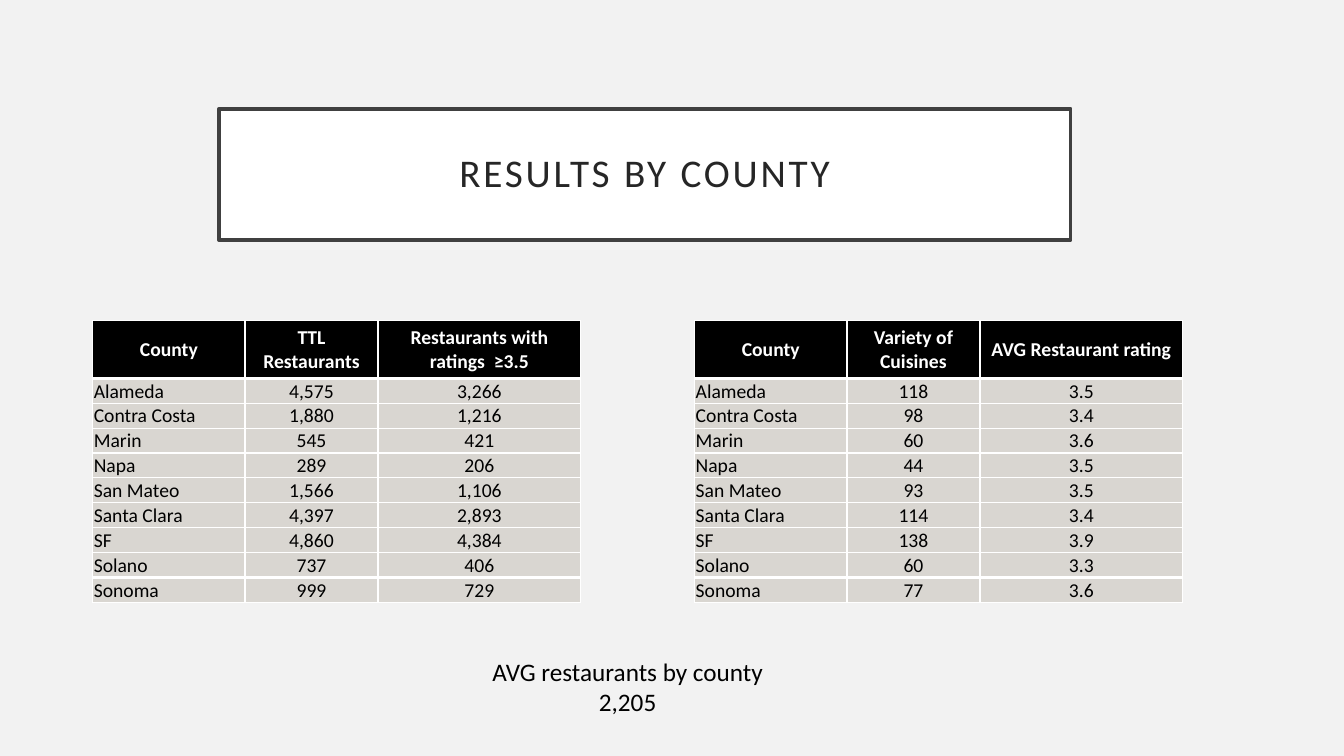
from lxml.etree import SubElement
from pptx import Presentation
from pptx.dml.color import RGBColor
from pptx.enum.text import MSO_ANCHOR as ANCHOR, MSO_AUTO_SIZE as AUTO, PP_ALIGN as ALIGN
from pptx.oxml.ns import qn
from pptx.util import Inches, Pt

COLORS = {"back": "F2F2F2", "white": "FFFFFF", "frame": "404040", "title": "262626",
          "black": "000000", "cell": "D9D6D1"}
COL_WIDTHS = (1.51, 1.32, 2.01)
HEADER_HEIGHT, ROW_HEIGHT = 0.57, 0.24
COUNTIES = ("Alameda", "Contra Costa", "Marin", "Napa", "San Mateo",
            "Santa Clara", "SF", "Solano", "Sonoma")
RESTAURANTS = (
    ("County", "TTL Restaurants", "Restaurants with ratings  ≥3.5"),
    ("4,575", "1,880", "545", "289", "1,566", "4,397", "4,860", "737", "999"),
    ("3,266", "1,216", "421", "206", "1,106", "2,893", "4,384", "406", "729"))
CUISINES = (
    ("County", "Variety of Cuisines", "AVG Restaurant rating"),
    ("118", "98", "60", "44", "93", "114", "138", "60", "77"),
    ("3.5", "3.4", "3.6", "3.5", "3.5", "3.4", "3.9", "3.3", "3.6"))


def rgb(name):
    return RGBColor.from_string(COLORS[name])


def write(p, text, size, color="black", bold=False, align=ALIGN.CENTER, spacing=None):
    p.alignment = align
    r = p.add_run()
    r.text = text
    r.font.name, r.font.size, r.font.bold = "Calibri", Pt(size), bold
    r.font.color.rgb = rgb(color)
    if spacing:
        r.font._element.set("spc", str(spacing * 100))


def set_margins(target, left, top, right, bottom):
    target.margin_left, target.margin_top = Inches(left), Inches(top)
    target.margin_right, target.margin_bottom = Inches(right), Inches(bottom)


def set_borders(cell, top, bottom):
    tcPr = cell._tc.get_or_add_tcPr()
    for side, width in (("L", 1), ("R", 1), ("T", top), ("B", bottom)):
        ln = SubElement(tcPr, qn(f"a:ln{side}"), w=str(Pt(width)))
        SubElement(SubElement(ln, qn("a:solidFill")), qn("a:srgbClr"), val=COLORS["white"])


def add_title(s, x, y, w, h):
    sp = s.shapes.title
    sp.left, sp.top, sp.width, sp.height = map(Inches, (x, y, w, h))
    sp.fill.solid()
    sp.fill.fore_color.rgb = rgb("white")
    sp.line.color.rgb = rgb("frame")
    sp.line.width = Pt(2.5)
    tf = sp.text_frame
    tf.auto_size, tf.word_wrap, tf.vertical_anchor = AUTO.NONE, True, ANCHOR.MIDDLE
    set_margins(tf, 0.2, 0.2, 0.2, 0.2)
    p = tf.paragraphs[0]
    p.line_spacing = 0.9
    write(p, "RESULTS BY COUNTY", 28, "title", spacing=2)


def add_county_table(s, x, y, data):
    headers, *values = data
    rows = [headers, *zip(COUNTIES, *values)]
    last = len(rows) - 1
    height = HEADER_HEIGHT + ROW_HEIGHT * last
    table = s.shapes.add_table(len(rows), len(headers), Inches(x), Inches(y),
                               Inches(sum(COL_WIDTHS)), Inches(height)).table
    for col, width in zip(table.columns, COL_WIDTHS):
        col.width = Inches(width)
    for i, row in enumerate(rows):
        header = i == 0
        table.rows[i].height = Inches(HEADER_HEIGHT if header else ROW_HEIGHT)
        for j, text in enumerate(row):
            cell = table.cell(i, j)
            set_borders(cell, 3 if i in (1, last) else 1, 3 if i in (0, last - 1) else 1)
            cell.fill.solid()
            cell.fill.fore_color.rgb = rgb("black" if header else "cell")
            cell.vertical_anchor = ANCHOR.MIDDLE
            if not header:
                set_margins(cell, 0.01, 0.01, 0.01, 0)
            write(cell.text_frame.paragraphs[0], text, 14,
                  "white" if header else "black", bold=header,
                  align=ALIGN.CENTER if header or j else ALIGN.LEFT)


def add_average(s, x, y, w, h):
    tf = s.shapes.add_textbox(*map(Inches, (x, y, w, h))).text_frame
    tf.word_wrap, tf.auto_size = True, AUTO.SHAPE_TO_FIT_TEXT
    write(tf.paragraphs[0], "AVG restaurants by county", 18)
    write(tf.add_paragraph(), "2,205", 18)


def main():
    prs = Presentation()
    prs.slide_width, prs.slide_height = Inches(13.33), Inches(7.5)
    s = prs.slides.add_slide(prs.slide_layouts[5])
    s.background.fill.solid()
    s.background.fill.fore_color.rgb = rgb("back")
    add_title(s, 2.17, 1.08, 8.45, 1.3)
    add_county_table(s, 0.92, 3.18, RESTAURANTS)
    add_county_table(s, 6.89, 3.18, CUISINES)
    add_average(s, 4.15, 6.46, 4.15, 0.71)
    prs.save("out.pptx")


if __name__ == "__main__":
    main()
